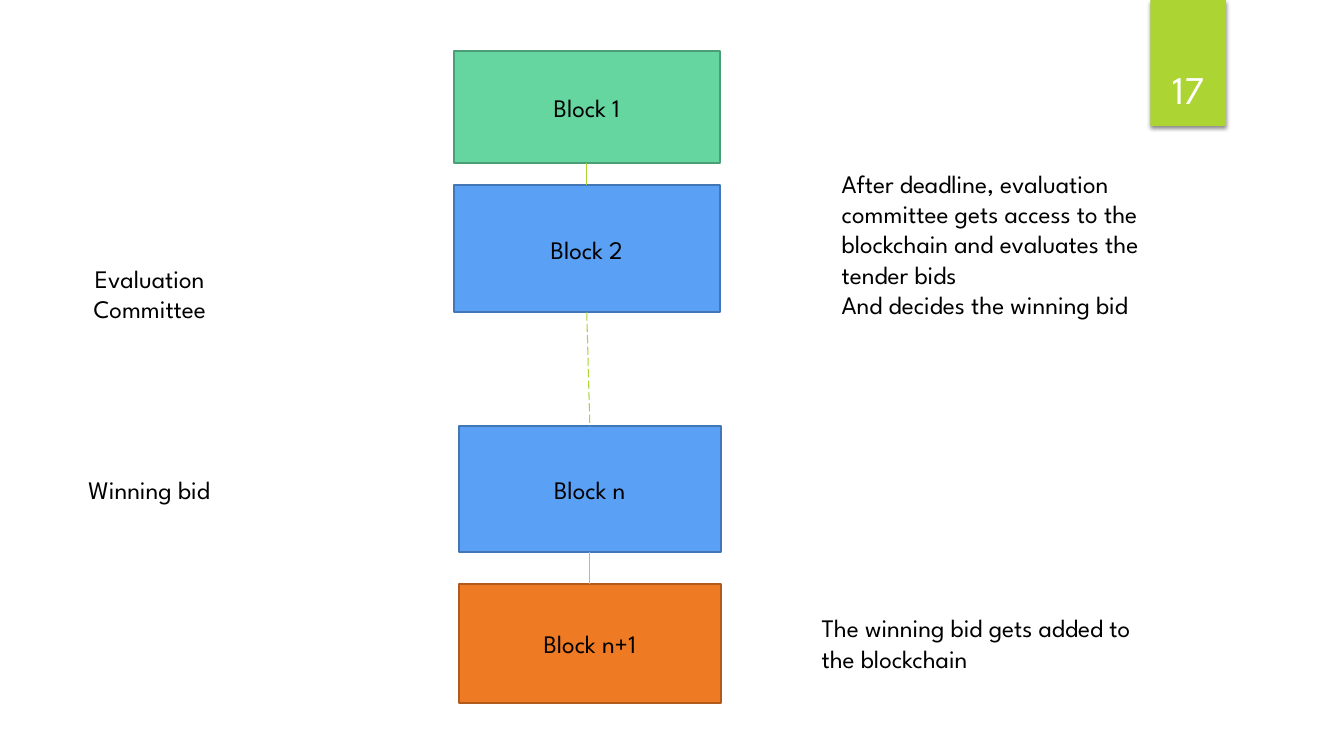
from lxml.etree import SubElement
from pptx import Presentation
from pptx.dml.color import RGBColor
from pptx.enum.dml import MSO_LINE
from pptx.enum.shapes import MSO_CONNECTOR, MSO_SHAPE
from pptx.enum.text import MSO_ANCHOR, MSO_AUTO_SIZE, PP_ALIGN
from pptx.oxml.ns import qn
from pptx.util import Inches, Pt

LIME = RGBColor(0xAC, 0xD4, 0x33)
GREEN = RGBColor(0x65, 0xD6, 0xA0)
DARK_GREEN = RGBColor(0x4B, 0x9E, 0x76)
BLUE = RGBColor(0x5A, 0xA0, 0xF5)
DARK_BLUE = RGBColor(0x43, 0x76, 0xB5)
ORANGE = RGBColor(0xEF, 0x7A, 0x24)
DARK_ORANGE = RGBColor(0xB1, 0x5A, 0x1B)
BLACK = RGBColor(0, 0, 0)
WHITE = RGBColor(0xFF, 0xFF, 0xFF)

TOP, BOTTOM = 0, 2  # connection sites of a block

# label, (left, top, width, height), fill, outline
BLOCKS = [
    ("Block 1", (4.5, 0.51, 2.64, 1.11), GREEN, DARK_GREEN),
    ("Block 2", (4.5, 1.84, 2.64, 1.26), BLUE, DARK_BLUE),
    ("Block n", (4.55, 4.23, 2.6, 1.25), BLUE, DARK_BLUE),
    ("Block n+1", (4.55, 5.79, 2.6, 1.18), ORANGE, DARK_ORANGE),
]
LINKS = [MSO_LINE.SOLID, MSO_LINE.LONG_DASH, MSO_LINE.SOLID]

# paragraphs, (left, top, width, height), alignment
NOTES = [
    (["Evaluation Committee"], (0.54, 2.56, 1.89, 0.71), PP_ALIGN.CENTER),
    (["Winning bid"], (0.68, 4.66, 1.6, 0.71), PP_ALIGN.CENTER),
    (["After deadline, evaluation committee gets access to the blockchain "
      "and evaluates the tender bids",
      "And decides the winning bid"], (8.25, 1.62, 3.73, 1.62), PP_ALIGN.LEFT),
    (["The winning bid gets added to the blockchain"],
     (8.05, 6.03, 3.59, 0.71), PP_ALIGN.LEFT),
]


class SlideBuilder:
    font_name = "League Spartan"

    def __init__(self, slide):
        self.shapes = slide.shapes

    def add_lines(self, shape, lines, align, size=18, color=BLACK, **frame_format):
        """Fill a shape with one paragraph per line."""
        frame = shape.text_frame
        for name, value in {"word_wrap": True, **frame_format}.items():
            setattr(frame, name, value)
        for index, line in enumerate(lines):
            para = frame.add_paragraph() if index else frame.paragraphs[0]
            para.alignment = align
            span = para.add_run()
            span.text = line
            font_format = {"name": self.font_name, "size": Pt(size)}
            for name, value in font_format.items():
                setattr(span.font, name, value)
            span.font.color.rgb = color

    def shape(self, kind, place, fill):
        shape = self.shapes.add_shape(kind, *map(Inches, place))
        shape.shadow.inherit = False
        shape.fill.solid()
        shape.fill.fore_color.rgb = fill
        return shape

    def block(self, label, place, fill, outline):
        block = self.shape(MSO_SHAPE.FLOWCHART_PROCESS, place, fill)
        block.line.color.rgb = outline
        block.line.width = Pt(1.5)
        self.add_lines(block, [label], PP_ALIGN.CENTER,
                       vertical_anchor=MSO_ANCHOR.MIDDLE)
        return block

    def link(self, upper, lower, dash):
        link = self.shapes.add_connector(MSO_CONNECTOR.STRAIGHT, 0, 0, 0, 0)
        link.begin_connect(upper, BOTTOM)
        link.end_connect(lower, TOP)
        line_format = {"width": Pt(0.75), "dash_style": dash}
        for name, value in line_format.items():
            setattr(link.line, name, value)
        link.line.color.rgb = LIME
        SubElement(link._element.spPr, qn("a:effectLst"))

    def note(self, lines, place, align):
        box = self.shapes.add_textbox(*map(Inches, place))
        self.add_lines(box, lines, align,
                       auto_size=MSO_AUTO_SIZE.SHAPE_TO_FIT_TEXT)

    def page_tab(self, number):
        """Draw the shadowed tab that carries the page number."""
        tab = self.shape(MSO_SHAPE.RECTANGLE, (11.41, 0, 0.75, 1.25), LIME)
        tab.line.fill.background()
        effects = tab._element.spPr.find(qn("a:effectLst"))
        shadow = SubElement(effects, qn("a:outerShdw"), blurRad=str(Pt(3)),
                            dist=str(Pt(2)), dir="5400000", rotWithShape="0")
        color = SubElement(shadow, qn("a:srgbClr"), val="000000")
        SubElement(color, qn("a:alpha"), val="45000")
        self.add_lines(tab, [number], PP_ALIGN.CENTER, size=28, color=WHITE,
                       vertical_anchor=MSO_ANCHOR.BOTTOM,
                       margin_bottom=Inches(0.14))


def main():
    deck = Presentation()
    deck.slide_width, deck.slide_height = Inches(13.33), Inches(7.5)
    page = SlideBuilder(deck.slides.add_slide(deck.slide_layouts[6]))
    page.page_tab("17")
    blocks = [page.block(*block) for block in BLOCKS]
    for upper, lower, dash in zip(blocks, blocks[1:], LINKS):
        page.link(upper, lower, dash)
    for note in NOTES:
        page.note(*note)
    deck.save("out.pptx")


if __name__ == "__main__":
    main()
